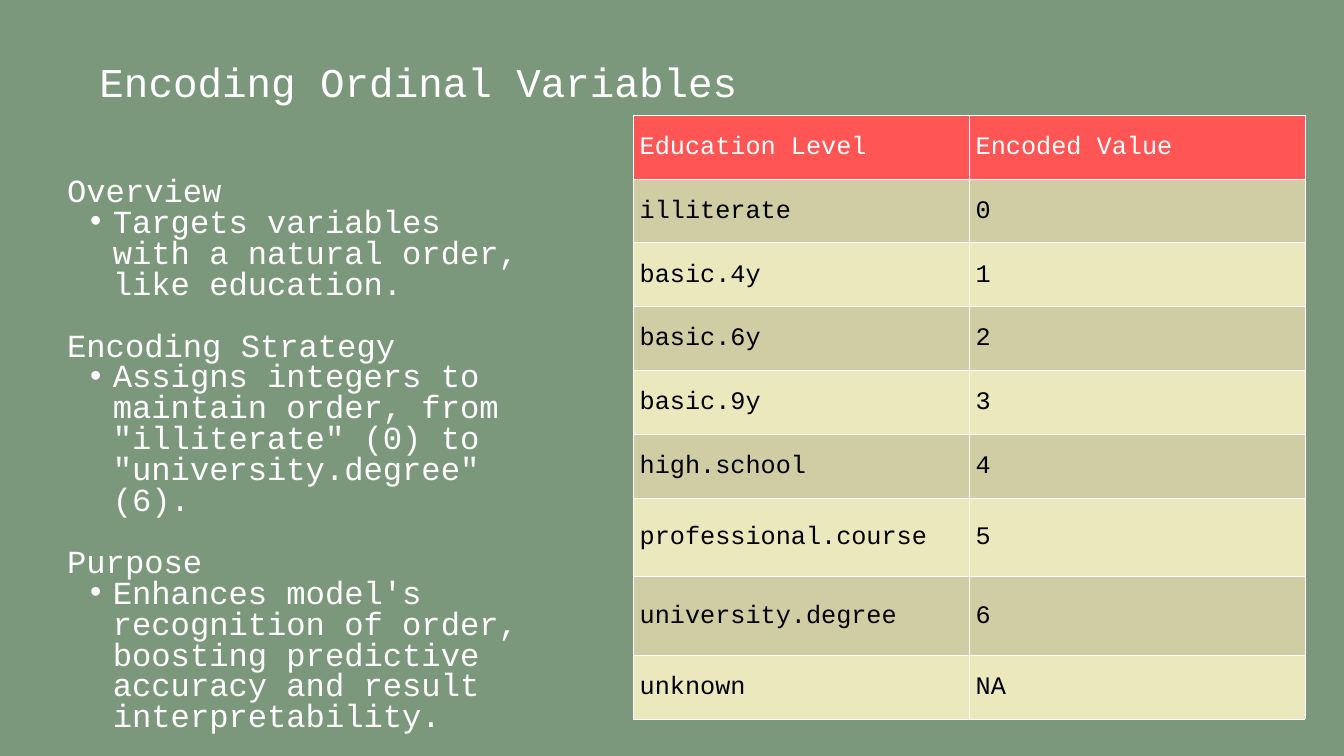
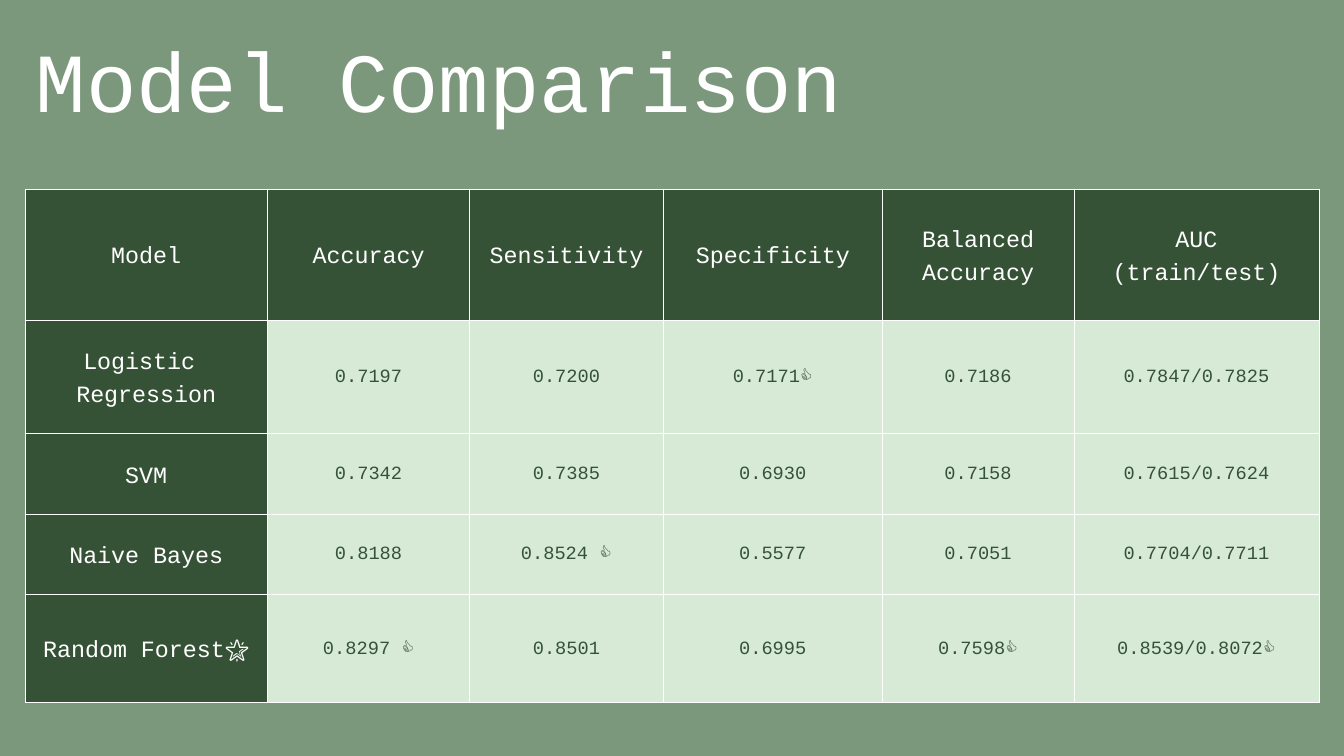
"""Builds two slides on encoding ordinal variables and comparing models."""
from dataclasses import dataclass
from typing import Any, NamedTuple

from lxml.etree import SubElement
from pptx import Presentation
from pptx.dml.color import RGBColor as Color
from pptx.enum.text import MSO_ANCHOR as Anchor
from pptx.enum.text import MSO_AUTO_SIZE as AutoSize
from pptx.enum.text import PP_ALIGN as Align
from pptx.oxml.ns import qn
from pptx.util import Inches, Pt


class TextStyle(NamedTuple):
    """Type size, line spacing, colour and alignment of a text."""
    size: float
    leading: float
    color: str
    align: Align = Align.LEFT


@dataclass(frozen=True)
class Theme:
    """Colours and type styles of the deck."""
    font: str = "Courier New"
    background: str = "7C987C"
    border: str = "FFFFFF"
    coral: str = "FF5555"
    sand: tuple[str, str] = ("D0CCA3", "ECE8BE")
    forest: str = "365236"
    mint: str = "D6EAD6"
    small_title: TextStyle = TextStyle(43.8, 47.3, "FFFFFF")
    large_title: TextStyle = TextStyle(90, 108, "FFFFFF")
    body: TextStyle = TextStyle(34.5, 33.1, "FFFFFF")
    level_head: TextStyle = TextStyle(27, 32.4, "FFFFFF")
    level_cell: TextStyle = TextStyle(27, 32.4, "000000")
    model_head: TextStyle = TextStyle(25, 35, "FFFFFF", Align.CENTER)
    model_cell: TextStyle = TextStyle(20, 24, "365236", Align.CENTER)


class Area(NamedTuple):
    """Position and size in inches."""
    left: float
    top: float
    width: float
    height: float

    def lengths(self) -> dict[str, Any]:
        """Return the fields as lengths."""
        return {name: Inches(value) for name, value in self._asdict().items()}


class CellLook(NamedTuple):
    """Fill and text style of a table cell."""
    fill: str
    style: TextStyle


class Section(NamedTuple):
    """A heading with one bullet point."""
    heading: str
    point: str


@dataclass(frozen=True)
class Grid:
    """A table with its measures and the look of each cell."""
    left: float
    top: float
    columns: list[float]
    heights: list[float]
    inset: float
    border: float
    rows: list[list[str]]
    looks: list[list[CellLook]]


THEME = Theme()
FRAME_FORMAT = {
    "word_wrap": True, "auto_size": AutoSize.NONE, "vertical_anchor": Anchor.TOP,
    "margin_left": 0, "margin_top": 0, "margin_right": 0, "margin_bottom": 0,
}
SECTIONS = [
    Section("Overview", "Targets variables with a natural order, like education."),
    Section("Encoding Strategy", 'Assigns integers to maintain order, from "illiterate" (0) '
            'to "university.degree" (6).'),
    Section("Purpose", "Enhances model's recognition of order, boosting predictive accuracy "
            "and result interpretability."),
]
LEVELS = ["illiterate", "basic.4y", "basic.6y", "basic.9y", "high.school",
          "professional.course", "university.degree"]
LEVEL_ROWS = [
    ["Education Level", "Encoded Value"],
    *([level, str(code)] for code, level in enumerate(LEVELS)),
    ["unknown", "NA"],
]
MODEL_ROWS = [
    ["Model", "Accuracy", "Sensitivity", "Specificity", "Balanced Accuracy", "AUC\n(train/test)"],
    ["Logistic \nRegression", "0.7197", "0.7200", "0.7171👍", "0.7186", "0.7847/0.7825"],
    ["SVM", "0.7342", "0.7385", "0.6930", "0.7158", "0.7615/0.7624"],
    ["Naive Bayes", "0.8188", "0.8524 👍", "0.5577", "0.7051", "0.7704/0.7711"],
    ["Random Forest🌟", "0.8297 👍", "0.8501", "0.6995", "0.7598👍", "0.8539/0.8072👍"],
]


def apply(target: Any, values: dict[str, Any]) -> None:
    """Set each named attribute of the target."""
    for name, value in values.items():
        setattr(target, name, value)


def style_para(para: Any, style: TextStyle) -> None:
    """Give a paragraph and its runs the style."""
    apply(para, {"alignment": style.align, "line_spacing": Pt(style.leading),
                 "space_before": Pt(0), "space_after": Pt(0)})
    for span in para.runs:
        apply(span.font, {"name": THEME.font, "size": Pt(style.size), "bold": False})
        span.font.color.rgb = Color.from_string(style.color)


def write_text(frame: Any, text: str, style: TextStyle) -> None:
    """Fill a text frame, one paragraph for each line."""
    frame.text = text
    for para in frame.paragraphs:
        style_para(para, style)


def add_titled_slide(deck: Any, title: str, style: TextStyle, area: Area) -> Any:
    """Add a title-only slide and format its title."""
    slide = deck.slides.add_slide(deck.slide_layouts.get_by_name("Title Only"))
    apply(slide.shapes.title, area.lengths())
    frame = slide.shapes.title.text_frame
    apply(frame, FRAME_FORMAT)
    write_text(frame, title, style)
    return slide


def add_bullet(para: Any) -> None:
    """Turn a paragraph into an indented bullet point."""
    para.level = 1
    props = para._p.get_or_add_pPr()
    props.set("marL", str(Inches(0.68)))
    props.set("indent", str(-Inches(0.34)))
    SubElement(props, qn("a:buFont"), typeface="Arial")
    SubElement(props, qn("a:buChar"), char="•")


def add_sections(slide: Any, sections: list[Section], area: Area) -> None:
    """Add a text box of headings, each with a bullet point."""
    frame = slide.shapes.add_textbox(**area.lengths()).text_frame
    apply(frame, FRAME_FORMAT)
    style = THEME.body
    write_text(frame, "\n".join(line for section in sections for line in section), style)
    for para in frame.paragraphs[1::2]:
        add_bullet(para)
    for para in frame.paragraphs[2::2]:
        para.space_before = Pt(style.leading)


def add_borders(cell: Any, width: float) -> None:
    """Draw a line on all four sides of a cell."""
    props = cell._tc.get_or_add_tcPr()
    for side in ("lnL", "lnR", "lnT", "lnB"):
        line = SubElement(props, qn(f"a:{side}"), w=str(Pt(width)))
        SubElement(SubElement(line, qn("a:solidFill")), qn("a:srgbClr"), val=THEME.border)


def add_grid(slide: Any, grid: Grid) -> None:
    """Add a table and format its cells."""
    area = Area(grid.left, grid.top, sum(grid.columns), sum(grid.heights))
    table = slide.shapes.add_table(len(grid.rows), len(grid.columns), **area.lengths()).table
    apply(table, {"first_row": False, "horz_banding": False})
    for column, width in zip(table.columns, grid.columns):
        column.width = Inches(width)
    for row, height in zip(table.rows, grid.heights):
        row.height = Inches(height)
    inset = Inches(grid.inset)
    cell_format = {"vertical_anchor": Anchor.MIDDLE, "margin_left": inset, "margin_top": inset,
                   "margin_right": inset, "margin_bottom": inset}
    for row, texts, looks in zip(table.rows, grid.rows, grid.looks):
        for cell, text, look in zip(row.cells, texts, looks):
            apply(cell, cell_format)
            add_borders(cell, grid.border)
            cell.fill.solid()
            cell.fill.fore_color.rgb = Color.from_string(look.fill)
            write_text(cell.text_frame, text, look.style)


def build_encoding(deck: Any) -> None:
    """Build the slide on ordinal variables."""
    slide = add_titled_slide(deck, "Encoding Ordinal Variables", THEME.small_title,
                             Area(1.48, 0.91, 17.05, 2.06))
    add_sections(slide, SECTIONS, Area(1, 2.65, 6.94, 8.38))
    head = CellLook(THEME.coral, THEME.level_head)
    bands = [CellLook(fill, THEME.level_cell) for fill in THEME.sand]
    looks = [[head] * 2] + [[bands[index % 2]] * 2 for index in range(len(LEVEL_ROWS) - 1)]
    heights = [0.95] * 6 + [1.17] * 2 + [0.95]
    add_grid(slide, Grid(9.42, 1.71, [5, 5], heights, 0.1, 0.37, LEVEL_ROWS, looks))


def build_comparison(deck: Any) -> None:
    """Build the slide that compares the models."""
    slide = add_titled_slide(deck, "Model Comparison", THEME.large_title,
                             Area(0.53, 0.42, 12.28, 1.66))
    head = CellLook(THEME.forest, THEME.model_head)
    score = CellLook(THEME.mint, THEME.model_cell)
    looks = [[head] * 6] + [[head] + [score] * 5] * (len(MODEL_ROWS) - 1)
    columns = [3.61, 3.01, 2.88, 3.26, 2.85, 3.65]
    heights = [1.95, 1.69, 1.2, 1.2, 1.6]
    add_grid(slide, Grid(0.37, 2.81, columns, heights, 0.21, 0.75, MODEL_ROWS, looks))


def main() -> None:
    """Build and save the deck."""
    deck = Presentation()
    apply(deck, {"slide_width": Inches(20), "slide_height": Inches(11.25)})
    fill = deck.slide_master.background.fill
    fill.solid()
    fill.fore_color.rgb = Color.from_string(THEME.background)
    build_encoding(deck)
    build_comparison(deck)
    deck.save("out.pptx")


if __name__ == "__main__":
    main()
